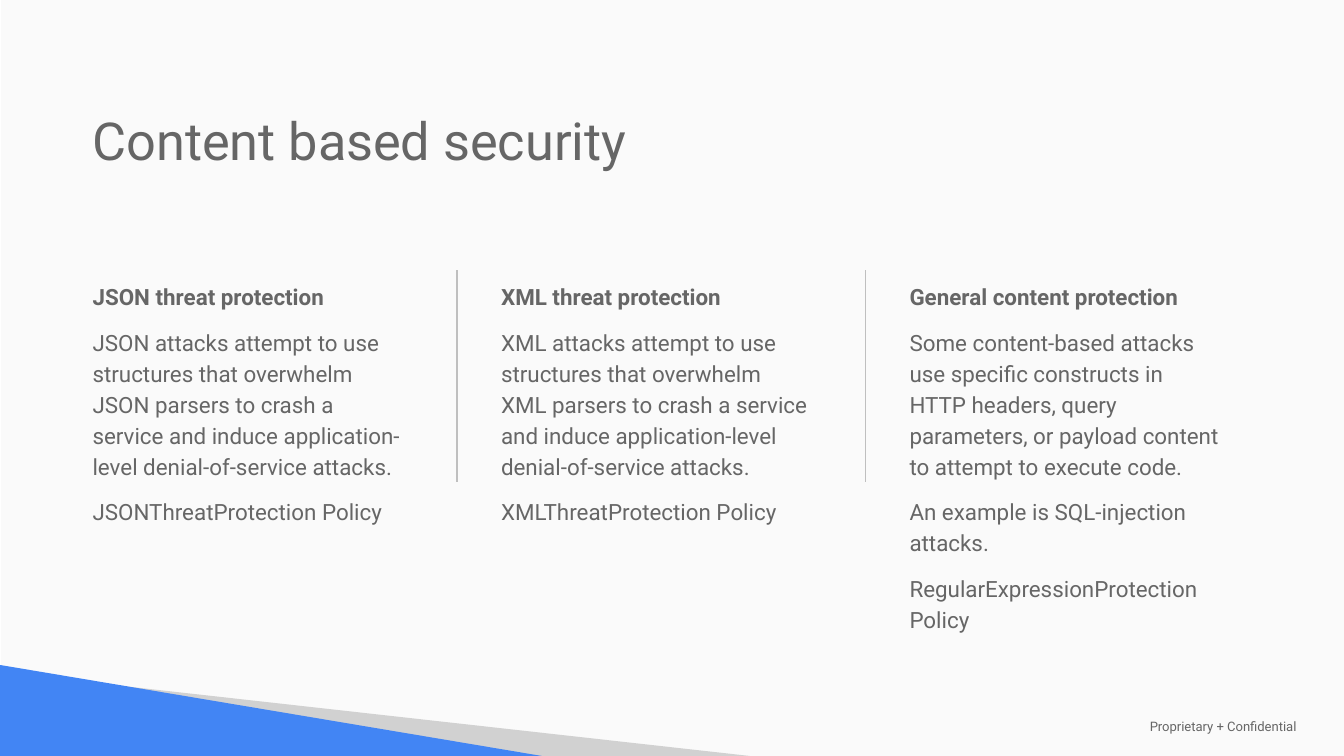
import pptx
import pptx.util
import pptx.dml.color
import pptx.enum.shapes
import pptx.enum.text
import pptx.oxml.ns
import lxml.etree
from pptx.util import Cm

COLORS = {
    "background": "FAFAFA",
    "text": "666666",
    "blue": "4285F4",
    "grey": "D1D1D1",
    "divider": "BFBFBF",
}
FONT = "Roboto"
SLIDE_WIDTH, SLIDE_HEIGHT = Cm(25.4), Cm(14.29)

COLUMNS = [
    ("JSON threat protection", [
        "JSON attacks attempt to use structures that overwhelm JSON parsers to crash a "
        "service and induce application-level denial-of-service attacks.",
        "JSONThreatProtection Policy",
    ]),
    ("XML threat protection", [
        "XML attacks attempt to use structures that overwhelm XML parsers to crash a "
        "service and induce application-level denial-of-service attacks.",
        "XMLThreatProtection Policy",
    ]),
    ("General content protection", [
        "Some content-based attacks use specific constructs in HTTP headers, query "
        "parameters, or payload content to attempt to execute code.",
        "An example is SQL-injection attacks.",
        "RegularExpressionProtection Policy",
    ]),
]


def color(name):
    return pptx.dml.color.RGBColor.from_string(COLORS[name])


def paint(shape, name):
    shape.shadow.inherit = False
    shape.fill.solid()
    shape.fill.fore_color.rgb = color(name)
    shape.line.fill.background()


def add_text_frame(slide, box):
    frame = slide.shapes.add_textbox(*box).text_frame
    frame.word_wrap = True
    frame.margin_left = frame.margin_right = Cm(0.25)
    frame.margin_top = frame.margin_bottom = Cm(0.25)
    return frame


def add_run(paragraph, text, size, bold=False):
    run = paragraph.add_run()
    run.text = text
    run.font.name = FONT
    run.font.size = pptx.util.Pt(size)
    run.font.bold = bold
    run.font.color.rgb = color("text")


def add_triangle(slide, points, name):
    corners = [(Cm(x), Cm(y)) for x, y in points]
    builder = slide.shapes.build_freeform(*corners[0])
    builder.add_line_segments(corners[1:], close=True)
    paint(builder.convert_to_shape(), name)


def add_backdrop(slide, box):
    background = slide.shapes.add_shape(
        pptx.enum.shapes.MSO_SHAPE.RECTANGLE, *box)
    paint(background, "background")
    bottom = (box[1] + box[3]) / Cm(1)
    add_triangle(slide, [(2.16, 12.95), (14.17, bottom), (10.19, bottom)], "grey")
    add_triangle(slide, [(0, 12.57), (0, bottom), (10.24, bottom)], "blue")


def add_footer(slide, box):
    frame = add_text_frame(slide, box)
    frame.vertical_anchor = pptx.enum.text.MSO_ANCHOR.MIDDLE
    add_run(frame.paragraphs[0], "Proprietary + Confidential", 7)


def add_title(slide, box):
    paragraph = add_text_frame(slide, box).paragraphs[0]
    paragraph.space_after = pptx.util.Pt(18)
    add_run(paragraph, "Content based security", 28)


def add_column(slide, box, heading, texts):
    frame = add_text_frame(slide, box)
    paragraph = frame.paragraphs[0]
    paragraph.line_spacing = 1.15
    add_run(paragraph, heading, 12, bold=True)
    for text in texts:
        paragraph = frame.add_paragraph()
        paragraph.line_spacing = 1.15
        paragraph.space_before = pptx.util.Pt(8)
        add_run(paragraph, text, 12)


def add_divider(slide, left, top, height):
    connector = slide.shapes.add_connector(
        pptx.enum.shapes.MSO_CONNECTOR.STRAIGHT, left, top, left, top + height)
    connector.line.color.rgb = color("divider")
    connector.line.width = pptx.util.Pt(0.75)
    properties = connector._element.spPr
    lxml.etree.SubElement(properties, pptx.oxml.ns.qn("a:effectLst"))


def add_columns(slide, box):
    left, top, width, height = box
    gap = Cm(1.34)
    column_width = int((width - gap * (len(COLUMNS) - 1)) / len(COLUMNS))
    for index, (heading, texts) in enumerate(COLUMNS):
        column_left = left + index * (column_width + gap)
        add_column(slide, (column_left, top, column_width, height), heading, texts)
        if index:
            add_divider(slide, column_left - Cm(0.58), top + Cm(0.08), Cm(4.01))


def main():
    presentation = pptx.Presentation()
    presentation.slide_width = SLIDE_WIDTH
    presentation.slide_height = SLIDE_HEIGHT
    slide = presentation.slides.add_slide(presentation.slide_layouts[6])
    add_backdrop(slide, (Cm(0.02), 0, SLIDE_WIDTH, SLIDE_HEIGHT))
    add_footer(slide, (Cm(21.48), Cm(13.54), Cm(3.8), Cm(0.36)))
    add_title(slide, (Cm(1.5), Cm(1.8), Cm(12.5), Cm(2.92)))
    add_columns(slide, (Cm(1.5), Cm(5.03), Cm(21.82), Cm(5.03)))
    presentation.save("out.pptx")


if __name__ == "__main__":
    main()
